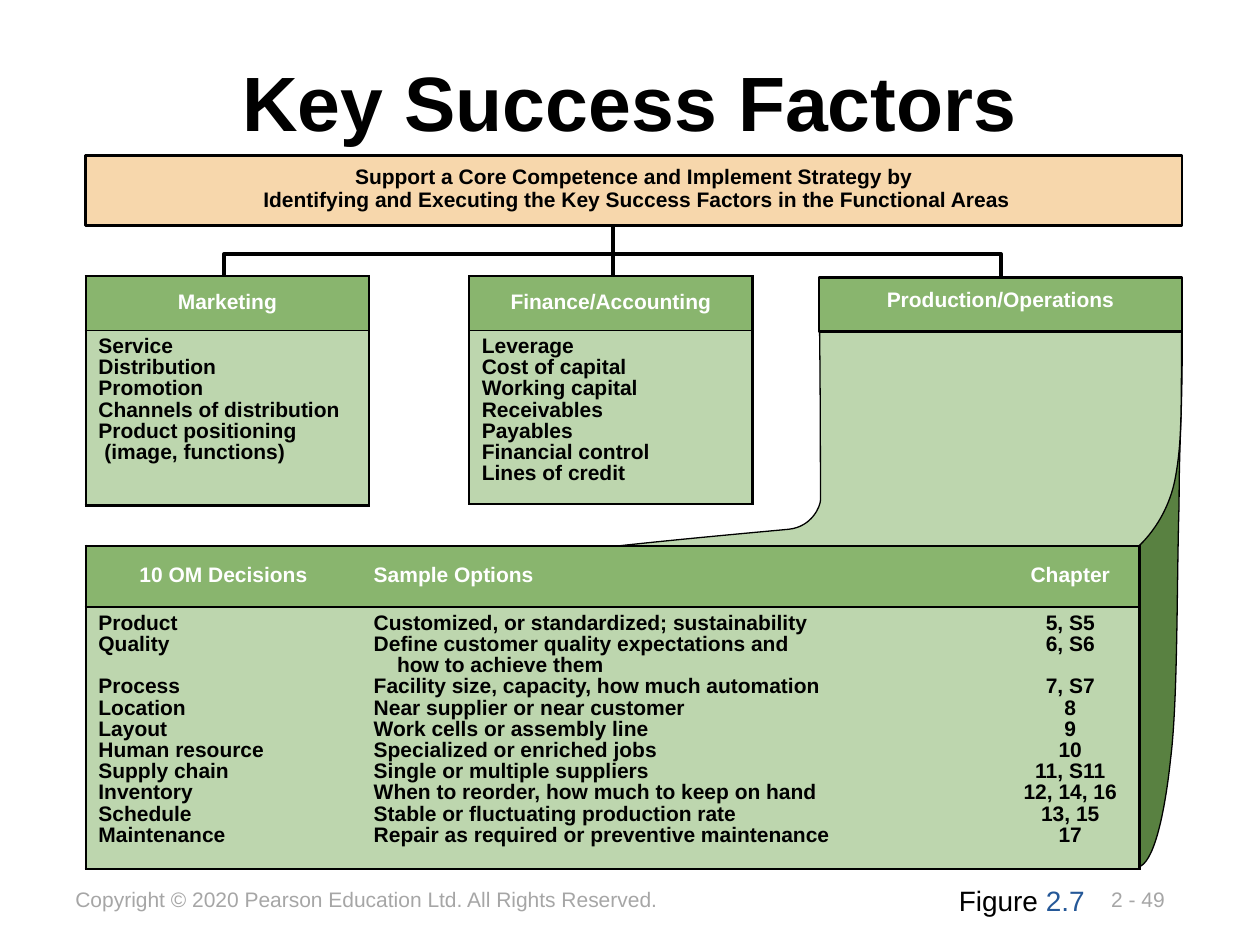
from lxml.etree import SubElement
from pptx import Presentation
from pptx.dml.color import RGBColor
from pptx.enum.shapes import MSO_CONNECTOR as Link, MSO_SHAPE as Preset
from pptx.enum.text import MSO_ANCHOR as Anchor, PP_ALIGN as Align
from pptx.oxml import parse_xml
from pptx.oxml.ns import nsdecls, qn
from pptx.util import Cm, Pt

BLACK = RGBColor(0x00, 0x00, 0x00)
WHITE = RGBColor(0xFF, 0xFF, 0xFF)
GREY = RGBColor(0xA6, 0xA6, 0xA6)
BLUE = RGBColor(0x25, 0x58, 0x98)
PEACH = RGBColor(0xF7, 0xD7, 0xAC)
GREEN = RGBColor(0x89, 0xB5, 0x6E)
PALE = RGBColor(0xBD, 0xD6, 0xAE)
DARK = RGBColor(0x59, 0x81, 0x41)
LINE_PITCH = 12.1
HEADER_HEIGHT = 1.09
FOLD = [(7.32, 0.56), (7.34, 2.84), (7.26, 3.1), (7.26, 4.57),
        (7.21, 6.12), (7.24, 8.48), (7.09, 9.7),
        (6.96, 10.92), (6.73, 11.84), (6.43, 11.89),
        (6.45, 10.8), (6.38, 5.66), (6.53, 3.78),
        (6.68, 1.88), (7.16, 1.22), (7.32, 0.56)]
SHEET = [(0, 0.43), (0.03, 1.47), (0.03, 4.37), (0.03, 4.5),
         (0.03, 4.6), (-0.13, 5.03), (-0.61, 5.08),
         (-1.12, 5.13), (-4.29, 5.41), (-5.18, 5.56),
         (-3.96, 5.54), (4.47, 5.44), (6.4, 5.46),
         (6.5, 5.38), (7.04, 4.88), (7.19, 4.01),
         (7.34, 3.18), (7.29, 2.46), (7.32, 0.36),
         (6.17, 0.36), (1.52, 0.43), (0, 0.43)]
MARKETING = ["Service", "Distribution", "Promotion", "Channels of distribution",
             "Product positioning", ("(image, functions)", {"indent": 0.12})]
FINANCE = ["Leverage", "Cost of capital", "Working capital", "Receivables",
           "Payables", "Financial control", "Lines of credit"]
GAP = {"before": LINE_PITCH}
DECISIONS = ["Product", "Quality", ("Process", GAP), "Location", "Layout",
             "Human resource", "Supply chain", "Inventory", "Schedule", "Maintenance"]
OPTIONS = ["Customized, or standardized; sustainability",
           "Define customer quality expectations and",
           ("how to achieve them", {"indent": 0.47}),
           "Facility size, capacity, how much automation",
           "Near supplier or near customer", "Work cells or assembly line",
           "Specialized or enriched jobs", "Single or multiple suppliers",
           "When to reorder, how much to keep on hand",
           "Stable or fluctuating production rate",
           "Repair as required or preventive maintenance"]
CHAPTERS = ["5, S5", "6, S6", ("7, S7", GAP), "8", "9", "10", "11, S11",
            "12, 14, 16", "13, 15", "17"]


def add_span(para, text, size=12, color=BLACK, bold=True):
    """Append a formatted run to a paragraph."""
    span = para.add_run()
    span.text = text
    span.font.name, span.font.size, span.font.bold = "Arial", Pt(size), bold
    span.font.color.rgb = color


def write(frame, lines, align=Align.LEFT, spacing=0.9, **font):
    """Write lines, each a text or a text with its indent and space before."""
    for index, line in enumerate(lines):
        text, layout = line if isinstance(line, tuple) else (line, {})
        para = frame.paragraphs[0] if index == 0 else frame.add_paragraph()
        para.alignment, para.line_spacing = align, spacing
        if "indent" in layout:
            para._p.get_or_add_pPr().set("marL", str(Cm(layout["indent"])))
        if "before" in layout:
            para.space_before = Pt(layout["before"])
        add_span(para, text, **font)


def add_label(page, box, text, wrap=False, anchor=Anchor.TOP, **style):
    """Add a text box and return its frame."""
    frame = page.shapes.add_textbox(*map(Cm, box)).text_frame
    frame.word_wrap, frame.vertical_anchor = wrap, anchor
    write(frame, [text], **style)
    return frame


def paint(shape, fill, width):
    """Give a shape its fill and black outline without a shadow."""
    shape.shadow.inherit = False
    if fill is None:
        shape.fill.background()
    else:
        shape.fill.solid()
        shape.fill.fore_color.rgb = fill
    shape.line.color.rgb, shape.line.width = BLACK, Pt(width)


def add_panel(page, box, lines, fill, inset, color):
    """Add an outlined rectangle with centred text."""
    panel = page.shapes.add_shape(Preset.RECTANGLE, *map(Cm, box))
    paint(panel, fill, 1.5)
    frame = panel.text_frame
    frame.word_wrap, frame.vertical_anchor = True, Anchor.TOP
    frame.margin_top = frame.margin_bottom = Cm(inset)
    write(frame, lines, align=Align.CENTER, color=color)


def add_outline(page, left, top, points, fill=None, width=0.75, close=True):
    """Draw an outline whose points are relative to the given corner."""
    spots = [(Cm(left + x), Cm(top + y)) for x, y in points]
    builder = page.shapes.build_freeform(*spots[0])
    builder.add_line_segments(spots[1:], close=close)
    outline = builder.convert_to_shape()
    paint(outline, fill, width)
    return outline


def add_curve(page, left, top, points, fill):
    """Draw a closed outline whose points form a chain of cubic curves."""
    outline = add_outline(page, left, top, points, fill)
    segments = list(outline._element.iter(qn("a:lnTo")))
    for start in range(0, len(points) - 1, 3):
        first, *others = segments[start:start + 3]
        for other in others:
            first.append(other[0])
            other.getparent().remove(other)
        cubic = parse_xml(f'<a:cubicBezTo {nsdecls("a")}/>')
        cubic.extend(list(first))
        first.getparent().replace(first, cubic)
    for extra in segments[len(points) - 1:]:
        extra.getparent().remove(extra)


def set_borders(cell, widths):
    """Set the left, right, top and bottom borders, hiding those of width 0."""
    properties = cell._tc.get_or_add_tcPr()
    for index, (side, width) in enumerate(zip("LRTB", widths)):
        border = parse_xml(f'<a:ln{side} {nsdecls("a")} w="{Pt(width)}"/>')
        if width:
            fill = SubElement(border, qn("a:solidFill"))
            SubElement(fill, qn("a:srgbClr")).set("val", str(BLACK))
        else:
            SubElement(border, qn("a:noFill"))
        properties.insert(index, border)


def add_factors(page, left, top, heights, columns):
    """Add a header-and-body table from (width, header, lines, alignments) columns."""
    count = len(columns)
    total = sum(column[0] for column in columns)
    table = page.shapes.add_table(2, count, Cm(left), Cm(top), Cm(total),
                                  Cm(sum(heights))).table
    table.first_row = table.horz_banding = False
    for row, height in zip(table.rows, heights):
        row.height = Cm(height)
    for index, (width, header, lines, aligns) in enumerate(columns):
        table.columns[index].width = Cm(width)
        sides = (1.5 if index == 0 else 0, 1.5 if index == count - 1 else 0)
        parts = [([header], GREEN, WHITE, Anchor.MIDDLE, (1.5, 1)),
                 (lines, PALE, BLACK, Anchor.TOP, (1, 1.5))]
        for row, (texts, fill, color, anchor, ends) in enumerate(parts):
            cell = table.cell(row, index)
            cell.fill.solid()
            cell.fill.fore_color.rgb = fill
            cell.vertical_anchor = anchor
            set_borders(cell, sides + ends)
            write(cell.text_frame, texts, align=aligns[row], color=color)


def add_tree(page, left, top, width, height):
    """Draw the bracket and stem that link the banner to the three areas."""
    drop = 0.62
    add_outline(page, left, top + height - drop,
                [(0, drop), (0, 0), (width, 0), (width, drop - 0.05)], width=2.25, close=False)
    middle = Cm(left + width / 2)
    stem = page.shapes.add_connector(Link.STRAIGHT, middle, Cm(top), middle, Cm(top + height))
    stem.line.color.rgb, stem.line.width = BLACK, Pt(2.25)
    SubElement(stem._element.spPr, qn("a:effectLst"))


def add_production(page, left, top, width):
    """Draw the production header with its curled sheet."""
    add_curve(page, left, top, FOLD, DARK)
    add_curve(page, left, top, SHEET, PALE)
    add_panel(page, (left, top, width, HEADER_HEIGHT), ["Production/Operations"],
              GREEN, 0.24, WHITE)


def add_footer(page, left, top):
    """Place the copyright line, figure number and page number."""
    plain = {"bold": False, "spacing": 1}
    add_label(page, (left, top, 12.5, 0.76),
              "Copyright © 2020 Pearson Education Ltd. All Rights Reserved.", color=GREY, **plain)
    add_label(page, (left + 20.88, top, 1.65, 0.76), "2 - 49", color=GREY, **plain)
    figure = add_label(page, (left + 17.81, top - 0.07, 3.18, 0.94), "Figure ", size=16, **plain)
    add_span(figure.paragraphs[0], "2.7", size=16, color=BLUE, bold=False)


def main():
    """Build the slide and save it."""
    deck = Presentation()
    deck.slide_width, deck.slide_height = Cm(25.4), Cm(19.05)
    page = deck.slides.add_slide(deck.slide_layouts[6])
    add_footer(page, 1.27, 17.75)
    add_tree(page, 4.52, 4.46, 15.66, 1.28)
    add_label(page, (1.9, 1.09, 21.59, 2.24), "Key Success Factors", wrap=True,
              anchor=Anchor.MIDDLE, align=Align.CENTER, spacing=0.8, size=44)
    add_production(page, 16.51, 5.59, 7.32)
    listed = (Align.CENTER, Align.LEFT)
    add_factors(page, 1.73, 5.57, (HEADER_HEIGHT, 3.53),
                [(5.71, "Marketing", MARKETING, listed)])
    add_factors(page, 9.46, 5.57, (HEADER_HEIGHT, 3.5),
                [(5.71, "Finance/Accounting", FINANCE, listed)])
    add_factors(page, 1.73, 11, (1.24, 5.28), [
        (5.55, "10 OM Decisions", DECISIONS, listed),
        (12.9, "Sample Options", OPTIONS, (Align.LEFT, Align.LEFT)),
        (2.79, "Chapter", CHAPTERS, (Align.CENTER, Align.CENTER))])
    add_panel(page, (1.73, 3.13, 22.1, 1.42),
              ["Support a Core Competence and Implement Strategy by",
               ("Identifying and Executing the Key Success Factors in the Functional Areas",
                {"indent": 0.12})], PEACH, 0.23, BLACK)
    deck.save("out.pptx")


if __name__ == "__main__":
    main()
